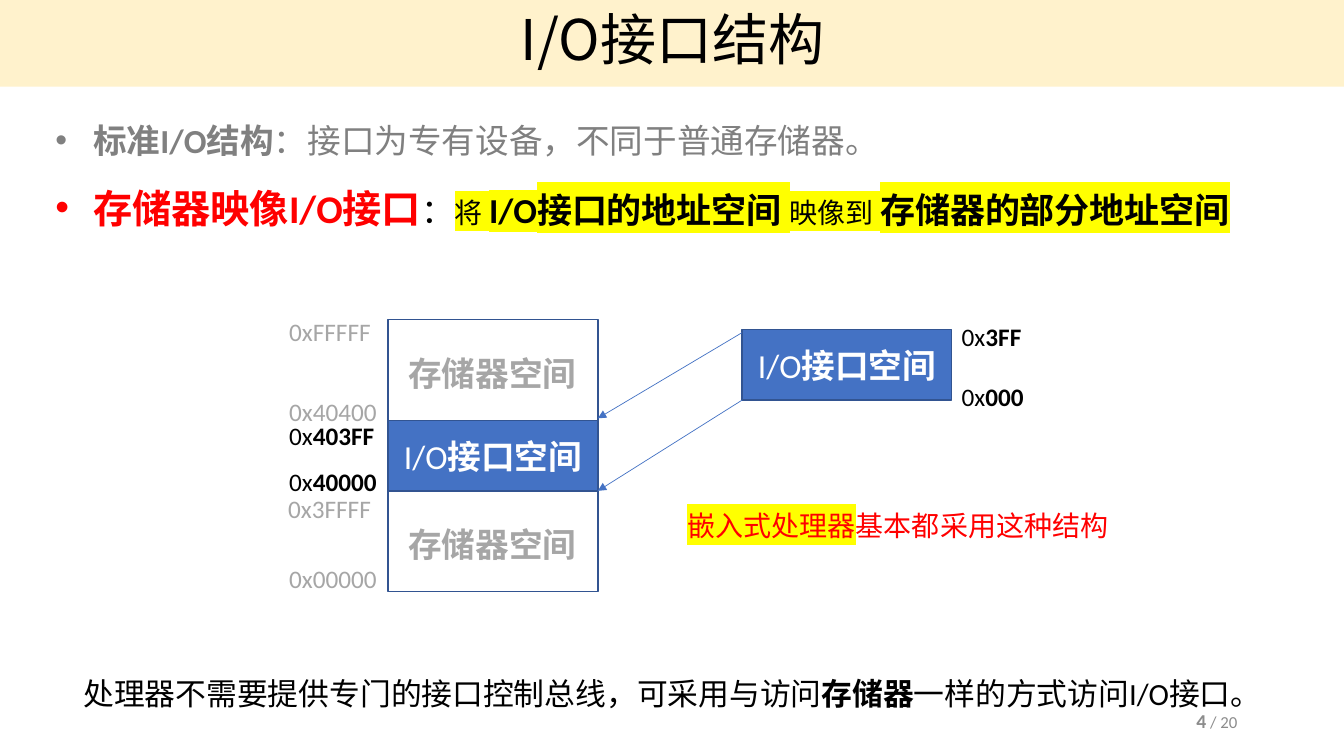
from pptx import Presentation
from pptx.dml.color import RGBColor
from pptx.enum.shapes import MSO_CONNECTOR, MSO_SHAPE
from pptx.enum.text import MSO_ANCHOR, MSO_AUTO_SIZE, PP_ALIGN
from pptx.oxml.ns import qn
from pptx.util import Inches, Pt
from lxml.etree import SubElement

COLORS = {"cream": "FFF2CC", "black": "000000", "gray": "808080", "pale": "A6A6A6",
          "dim": "8C8C8C", "red": "FF0000", "white": "FFFFFF", "blue": "4472C4",
          "navy": "325491", "yellow": "FFFF00"}
LATIN, HAN = "Calibri", "Noto Sans CJK SC"
COLS, ROWS = 1333, 750

deck = Presentation()
deck.slide_width, deck.slide_height = Inches(13.33), Inches(7.5)
COL, ROW = deck.slide_width / COLS, deck.slide_height / ROWS
slide = deck.slides.add_slide(deck.slide_layouts[1])


def place(col, row, wide, high):
    return [round(n) for n in (col * COL, row * ROW, wide * COL, high * ROW)]


def write(shape, lines, align=PP_ALIGN.LEFT, space=1, **look):
    frame = shape.text_frame
    look = {"word_wrap": True, "auto_size": MSO_AUTO_SIZE.NONE,
            "vertical_anchor": MSO_ANCHOR.TOP} | look
    for key, value in look.items():
        setattr(frame, key, value)
    for index, line in enumerate(lines):
        para = frame.add_paragraph() if index else frame.paragraphs[0]
        para.alignment, para.line_spacing, para.space_before = align, space, Pt(0)
        for text, size, color, bold, face, mark in line:
            run = para.add_run()
            run.text = text
            run.font.color.rgb = RGBColor.from_string(COLORS[color])
            props = run.font._element
            if mark:
                glow = SubElement(props, qn("a:highlight"))
                SubElement(glow, qn("a:srgbClr"), val=COLORS["yellow"])
            for key, value in {"size": Pt(size), "bold": bold, "name": face}.items():
                setattr(run.font, key, value)
            SubElement(props, qn("a:ea"), typeface=HAN)


title, body = slide.placeholders
title.left, title.top, title.width, title.height = place(0, -1, 1334, 87)
title.fill.solid()
title.fill.fore_color.rgb = RGBColor.from_string(COLORS["cream"])
write(title, [[("I/O接口结构", 40, "black", False, HAN, False)]],
      PP_ALIGN.CENTER, 0.9, vertical_anchor=MSO_ANCHOR.MIDDLE)

body.left, body.top, body.width, body.height = place(45, 94, 1277, 134)
write(body, [
    [("标准I/O结构", 24, "gray", True, LATIN, False),
     ("：接口为专有设备，不同于普通存储器。", 24, "gray", False, LATIN, False)],
    [("存储器映像I/O接口", 28, "red", True, LATIN, False),
     ("：", 24, "black", False, LATIN, False),
     ("将 ", 20, "black", False, LATIN, True),
     ("I/O", 25, "black", True, LATIN, True),
     ("接口的地址空间 ", 25, "black", True, HAN, True),
     ("映像到 ", 20, "black", False, LATIN, True),
     ("存储器的部分地址空间", 25, "black", True, HAN, True)],
], space=1.5)

LEFT, TOP, WIDE, TALL, SHORT = 385, 317, 208, 100, 70
MID, LOW = TOP + TALL, TOP + TALL + SHORT
PORT, PEAK = 736, 327
for col, row, high, port in [(PORT, PEAK, SHORT, True), (LEFT, TOP, TALL, False),
                             (LEFT, LOW, TALL, False), (LEFT, MID, SHORT, True)]:
    block = slide.shapes.add_shape(MSO_SHAPE.RECTANGLE, *place(col, row, WIDE, high))
    block.shadow.inherit = False
    block.line.color.rgb = RGBColor.from_string(COLORS["navy"])
    block.line.width = Pt(1)
    if port:
        block.fill.solid()
        block.fill.fore_color.rgb = RGBColor.from_string(COLORS["blue"])
        write(block, [[("I/O", 24, "white", False, LATIN, False),
                       ("接口空间", 24, "white", True, LATIN, False)]],
              PP_ALIGN.CENTER, vertical_anchor=MSO_ANCHOR.MIDDLE)
    else:
        block.fill.background()
        label = slide.shapes.add_textbox(*place(col + 10, row + 28, 188, 50))
        write(label, [[("存储器空间", 24, "pale", True, LATIN, False)]], word_wrap=False)

for start, end in [(PEAK + 3, MID - 2), (PEAK + SHORT, LOW)]:
    ends = place(PORT, start, LEFT + WIDE, end)
    arrow = slide.shapes.add_connector(MSO_CONNECTOR.STRAIGHT, *ends)
    arrow.line.color.rgb = RGBColor.from_string(COLORS["blue"])
    arrow.line.width = Pt(0.5)
    SubElement(arrow.line._get_or_add_ln(), qn("a:tailEnd"), type="triangle")
    SubElement(arrow._element.spPr, qn("a:effectLst"))

for col, row, digits, vivid in [
        (944, 373, "000", True), (944, 314, "3FF", True),
        (277, 554, "00000", False), (276, 484, "3FFFF", False),
        (277, 458, "40000", True), (277, 412, "403FF", True),
        (277, 388, "40400", False), (277, 309, "FFFFF", False)]:
    tag = slide.shapes.add_textbox(*place(col, row, 30 + 16 * len(digits), 40))
    tint = "black" if vivid else "pale"
    write(tag, [[("0x", 18, tint, False, LATIN, False),
                 (digits, 18, tint, vivid, LATIN, False)]], word_wrap=False)

note = slide.shapes.add_textbox(*place(672, 500, 441, 44))
write(note, [[("嵌入式处理器", 20, "red", False, HAN, True),
              ("基本都采用这种结构", 20, "red", False, HAN, False)]], word_wrap=False)

close = slide.shapes.add_textbox(*place(73, 653, 1187, 54))
write(close, [[("处理器不需要提供专门的接口控制总线，可采用与访问", 22, "black", False, LATIN, False),
               ("存储器", 22, "black", True, LATIN, False),
               ("一样的方式访问I/O接口。", 22, "black", False, LATIN, False)]], space=1.3)

page = slide.shapes.add_textbox(*place(1094, 695, 147, 40))
write(page, [[("4", 14, "dim", True, LATIN, False),
              (" / 20 ", 12, "dim", False, LATIN, False)]],
      PP_ALIGN.RIGHT, vertical_anchor=MSO_ANCHOR.MIDDLE)

deck.save("out.pptx")
